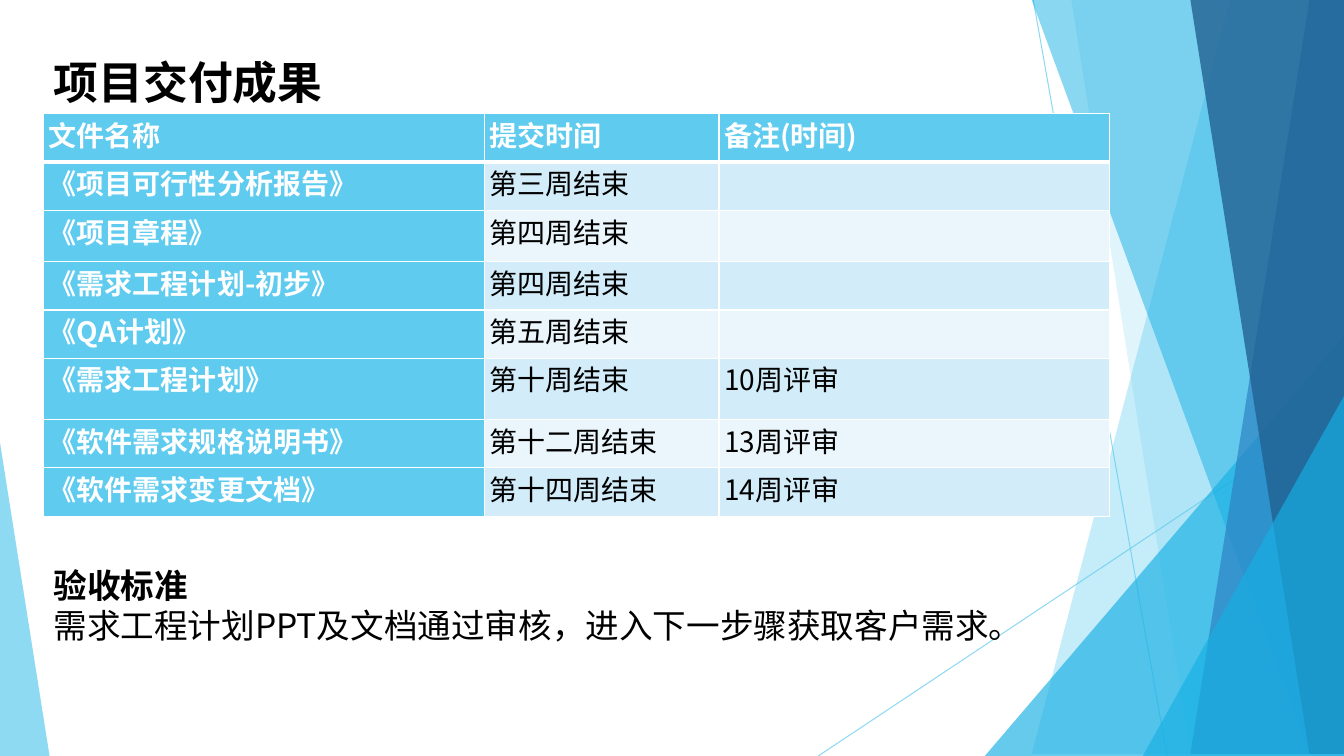
from lxml import etree
from pptx import Presentation
from pptx.dml.color import RGBColor
from pptx.enum.shapes import MSO_CONNECTOR, MSO_SHAPE
from pptx.enum.text import MSO_ANCHOR, MSO_AUTO_SIZE, PP_ALIGN
from pptx.oxml.ns import qn
from pptx.util import Cm, Pt

STRAIGHT = MSO_CONNECTOR.STRAIGHT
TRIANGLE = MSO_SHAPE.ISOSCELES_TRIANGLE
LEFT, JUSTIFY = PP_ALIGN.LEFT, PP_ALIGN.JUSTIFY
TOP = MSO_ANCHOR.TOP
GROW = MSO_AUTO_SIZE.SHAPE_TO_FIT_TEXT

SLIDE_W, SLIDE_H = 33.87, 19.05
SANS = "Noto Sans CJK SC"
COLORS = {
    "white": "FFFFFF", "black": "000000", "sky": "5FCBEF", "cyan": "17B0E4",
    "blue": "2E83C3", "navy": "226292", "band_dark": "D2ECF9", "band_light": "EAF6FC",
}

TITLE_FORMAT = {"name": "Lato", "size": Pt(32), "bold": True}
HEADING_FORMAT = {"name": SANS, "size": Pt(24), "bold": True}
BODY_FORMAT = {"name": SANS, "size": Pt(24), "bold": False}
LABEL_FORMAT = {"name": SANS, "size": Pt(20), "bold": True}
VALUE_FORMAT = {"name": SANS, "size": Pt(20), "bold": False}

RAYS = [((26.04, 0), (29.41, SLIDE_H)), ((SLIDE_W, 10.24), (20.62, SLIDE_H))]

# Facets: ("panel", x at top, x at bottom) or ("triangle", left, top, width, apex),
# each followed by colour and opacity in percent
FACETS = [
    ("panel", (31.19, 25.5), "sky", 36),
    ("panel", (26.67, 30.05), "sky", 20),
    ("triangle", (24.82, 8.46, 9.05, 1), "cyan", 66),
    ("panel", (25.93, 32.79), "cyan", 50),
    ("panel", (33.1, 30.28), "blue", 70),
    ("panel", (30.38, 33.48), "navy", 80),
    ("triangle", (28.8, 9.98, 5.07, 1), "cyan", 66),
    ("triangle", (0, 11.15, 1.25, 0), "sky", 70),
]

COLUMN_WIDTHS = [11.1, 5.92, 9.85]
ROW_HEIGHTS = [1.22, 1.22, 1.28, 1.22, 1.22, 1.54, 1.22, 1.22]
DELIVERABLES = [
    ("文件名称", "提交时间", "备注(时间)"),
    ("《项目可行性分析报告》", "第三周结束", ""),
    ("《项目章程》", "第四周结束", ""),
    ("《需求工程计划-初步》", "第四周结束", ""),
    ("《QA计划》", "第五周结束", ""),
    ("《需求工程计划》", "第十周结束", "10周评审"),
    ("《软件需求规格说明书》", "第十二周结束", "13周评审"),
    ("《软件需求变更文档》", "第十四周结束", "14周评审"),
]


def rgb(name):
    return RGBColor.from_string(COLORS[name])


def set_opacity(fill, percent):
    """Make a solid fill, of a shape or a line, partly transparent."""
    color = fill._xPr.find(qn("a:solidFill"))[0]
    etree.SubElement(color, qn("a:alpha"), val=str(percent * 1000))


def write(p, text, formats, color, align=LEFT):
    p.alignment = align
    r = p.add_run()
    r.text = text
    for name, value in formats.items():
        setattr(r.font, name, value)
    r.font.color.rgb = rgb(color)
    etree.SubElement(r._r.get_or_add_rPr(), qn("a:ea"), typeface=formats["name"])


def add_ray(slide, start, end):
    x1, y1, x2, y2 = (Cm(v) for v in start + end)
    line = slide.shapes.add_connector(STRAIGHT, x1, y1, x2, y2)
    line.line.width = Pt(0.75)
    line.line.color.rgb = rgb("sky")
    set_opacity(line.line.fill, 70)
    etree.SubElement(line._element.spPr, qn("a:effectLst"))


def add_panel(slide, top_x, bottom_x):
    """Add a full-height facet that reaches the right edge of the slide."""
    builder = slide.shapes.build_freeform(top_x, 0, Cm(1))
    builder.add_line_segments(
        [(SLIDE_W, 0), (SLIDE_W, SLIDE_H), (bottom_x, SLIDE_H)], close=True)
    return builder.convert_to_shape()


def add_triangle(slide, left, top, width, apex):
    """Add a triangle standing on the bottom edge of the slide."""
    sp = slide.shapes.add_shape(
        TRIANGLE, Cm(left), Cm(top), Cm(width), Cm(SLIDE_H - top))
    sp.adjustments[0] = apex
    return sp


def add_facet(slide, kind, geometry, color, opacity):
    add = add_panel if kind == "panel" else add_triangle
    sp = add(slide, *geometry)
    sp.shadow.inherit = False
    sp.fill.solid()
    sp.fill.fore_color.rgb = rgb(color)
    set_opacity(sp.fill, opacity)
    sp.line.fill.background()


def add_title(slide, text):
    sp = slide.shapes.title
    sp.left, sp.top, sp.width, sp.height = Cm(1.1), Cm(1.25), Cm(7.35), Cm(1.62)
    tf = sp.text_frame
    tf.word_wrap = False
    tf.auto_size = GROW
    tf.vertical_anchor = TOP
    write(tf.paragraphs[0], text, TITLE_FORMAT, "black")


def set_borders(cell, widths):
    tcPr = cell._tc.get_or_add_tcPr()
    for i, (side, width) in enumerate(widths.items()):
        ln = etree.Element(qn("a:ln" + side), w=str(Pt(width)))
        fill = etree.SubElement(ln, qn("a:solidFill"))
        etree.SubElement(fill, qn("a:srgbClr"), val=COLORS["white"])
        tcPr.insert(i, ln)


def fill_cell(cell, row, col, text):
    is_label = row == 0 or col == 0
    band = "band_dark" if row % 2 else "band_light"
    cell.fill.solid()
    cell.fill.fore_color.rgb = rgb("sky" if is_label else band)
    cell.margin_left = cell.margin_right = Cm(0.13)
    cell.margin_top = cell.margin_bottom = 0
    set_borders(cell, {"L": 1, "R": 1, "T": 3 if row == 1 else 1,
                       "B": 3 if row == 0 else 1})
    if text:
        write(cell.text_frame.paragraphs[0], text,
              LABEL_FORMAT if is_label else VALUE_FORMAT,
              "white" if is_label else "black", JUSTIFY)


def add_deliverables(slide):
    table = slide.shapes.add_table(
        len(ROW_HEIGHTS), len(COLUMN_WIDTHS), Cm(1.1), Cm(2.87),
        Cm(sum(COLUMN_WIDTHS)), Cm(sum(ROW_HEIGHTS))).table
    for column, width in zip(table.columns, COLUMN_WIDTHS):
        column.width = Cm(width)
    for row, height in zip(table.rows, ROW_HEIGHTS):
        row.height = Cm(height)
    for i, texts in enumerate(DELIVERABLES):
        for j, text in enumerate(texts):
            fill_cell(table.cell(i, j), i, j, text)


def add_criteria(slide, heading, body):
    tf = slide.shapes.add_textbox(Cm(1.1), Cm(14.1), Cm(24.18), Cm(3.3)).text_frame
    tf.word_wrap = True
    tf.auto_size = GROW
    write(tf.paragraphs[0], heading, HEADING_FORMAT, "black")
    write(tf.add_paragraph(), body, BODY_FORMAT, "black")
    for p in tf.paragraphs:
        p.line_spacing = Pt(28.8)


def main():
    prs = Presentation()
    prs.slide_width, prs.slide_height = Cm(SLIDE_W), Cm(SLIDE_H)
    slide = prs.slides.add_slide(prs.slide_layouts.get_by_name("Title Only"))
    for start, end in RAYS:
        add_ray(slide, start, end)
    for facet in FACETS:
        add_facet(slide, *facet)
    add_title(slide, "项目交付成果")
    add_deliverables(slide)
    add_criteria(slide, "验收标准",
                 "需求工程计划PPT及文档通过审核，进入下一步骤获取客户需求。")
    prs.save("out.pptx")


if __name__ == "__main__":
    main()
